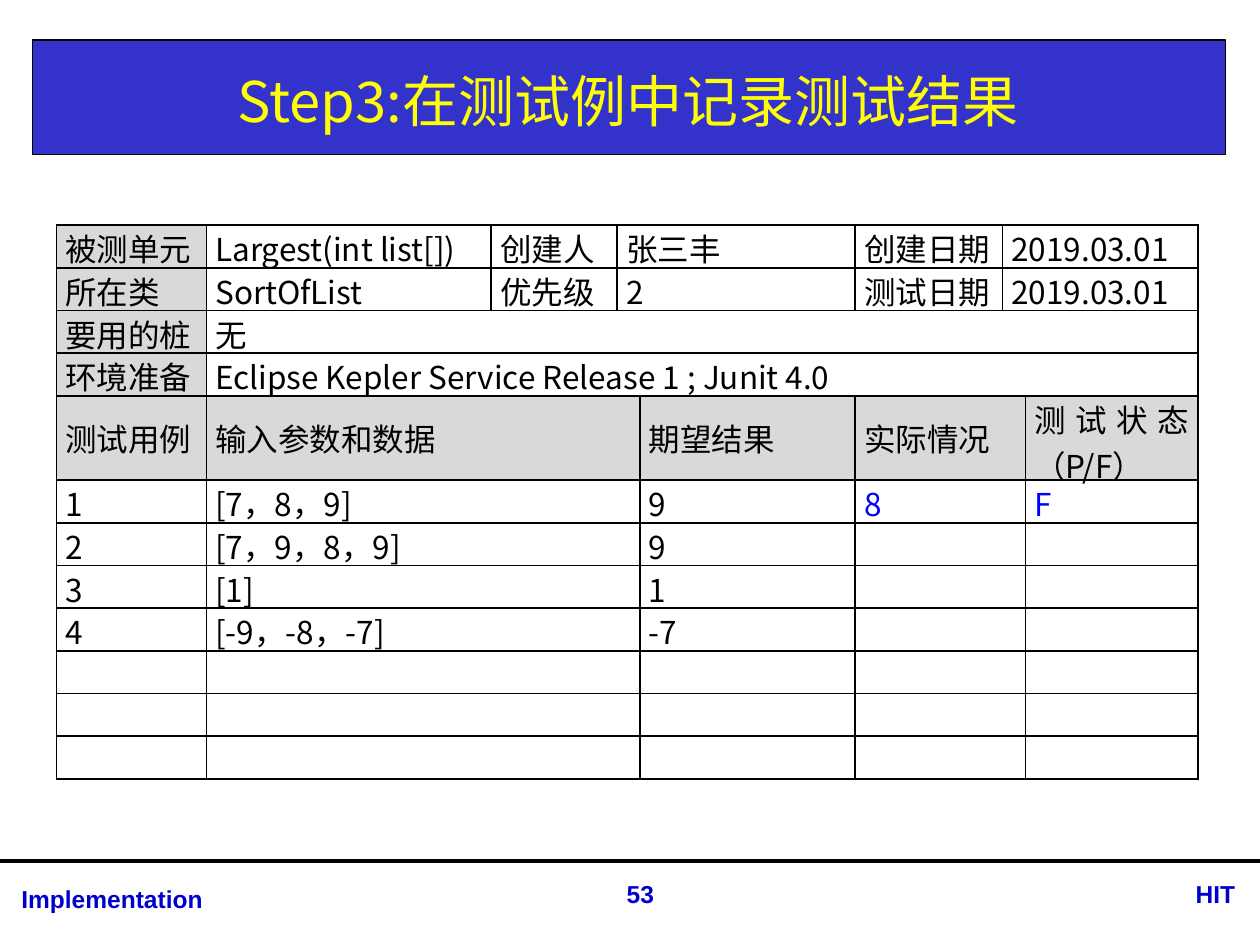
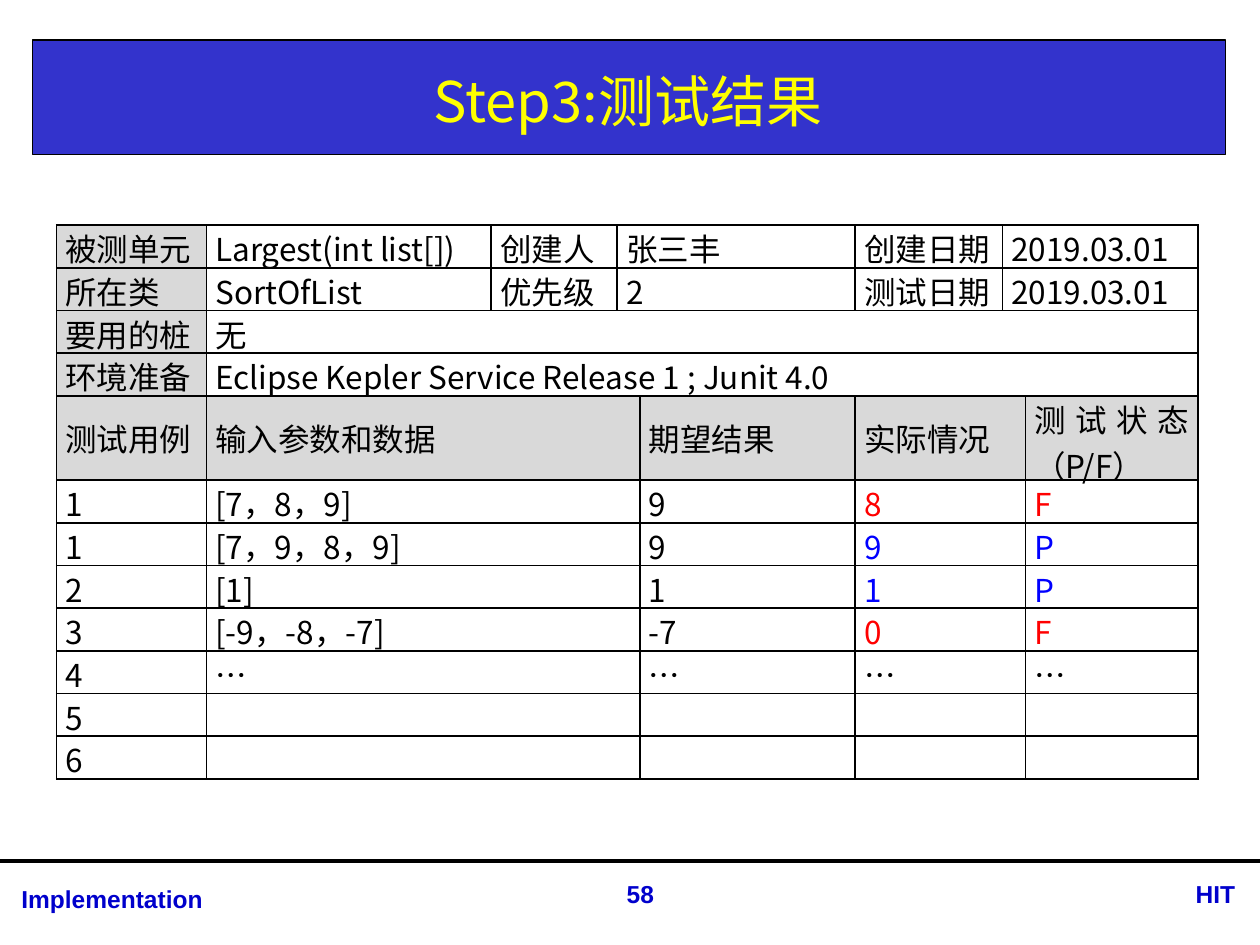
from dataclasses import dataclass
from typing import NamedTuple

from lxml.etree import SubElement
from pptx import Presentation
from pptx.dml.color import RGBColor
from pptx.enum.shapes import MSO_CONNECTOR, MSO_SHAPE
from pptx.enum.text import MSO_ANCHOR as Anchor, PP_ALIGN as Align
from pptx.oxml.ns import qn
from pptx.util import Cm, Pt

BLACK = RGBColor(0x00, 0x00, 0x00)
BAND_BLUE = RGBColor(0x33, 0x33, 0xCC)
TITLE_YELLOW = RGBColor(0xFF, 0xFF, 0x00)
FOOTER_BLUE = RGBColor(0x00, 0x00, 0xCC)
LABEL_GREY = RGBColor(0xD9, 0xD9, 0xD9)
RESULT_BLUE = RGBColor(0x00, 0x00, 0xFF)
RESULT_RED = RGBColor(0xFF, 0x00, 0x00)

BODY_FONT = "Noto Sans CJK SC"
FOOTER_FONT = "Arial"

COLUMN_WIDTHS = (3.02, 5.74, 2.54, 0.46, 4.34, 2.97, 0.46, 3.48)
ROW_HEIGHT = 0.86
HEADING_HEIGHT = 1.7
HEADING_ROW = 4
UNIT_SPANS = (1, 1, 1, 2, 1, 2)
WIDE_SPANS = (1, 7)
CASE_SPANS = (1, 3, 1, 2, 1)
RESULT_START = 3


class FooterItem(NamedTuple):
    text: str
    left: float
    top: float
    width: float
    align: Align


@dataclass(frozen=True)
class TestCase:
    number: str = ""
    inputs: str = ""
    expected: str = ""
    actual: str = ""
    status: str = ""
    result_color: RGBColor = BLACK


@dataclass(frozen=True)
class ResultSlide:
    title: str
    page: str
    cases: tuple[TestCase, ...]


@dataclass(frozen=True)
class TableRow:
    texts: tuple[str, ...]
    spans: tuple[int, ...]
    shaded: int = 0
    result_color: RGBColor = BLACK


UNIT_ROWS = (
    TableRow(("被测单元", "Largest(int list[])", "创建人", "张三丰", "创建日期", "2019.03.01"),
             UNIT_SPANS, 1),
    TableRow(("所在类", "SortOfList", "优先级", "2", "测试日期", "2019.03.01"), UNIT_SPANS, 1),
    TableRow(("要用的桩", "无"), WIDE_SPANS, 1),
    TableRow(("环境准备", "Eclipse Kepler Service Release 1 ; Junit 4.0"), WIDE_SPANS, 1),
    TableRow(("测试用例", "输入参数和数据", "期望结果", "实际情况", "测试状态（P/F）"),
             CASE_SPANS, len(CASE_SPANS)),
)

RESULT_SLIDES = (
    ResultSlide("Step3:在测试例中记录测试结果", "53", (
        TestCase("1", "[7，8，9]", "9", "8", "F", RESULT_BLUE),
        TestCase("2", "[7，9，8，9]", "9"),
        TestCase("3", "[1]", "1"),
        TestCase("4", "[-9，-8，-7]", "-7"),
        TestCase(), TestCase(), TestCase(),
    )),
    ResultSlide("Step3:测试结果", "58", (
        TestCase("1", "[7，8，9]", "9", "8", "F", RESULT_RED),
        TestCase("1", "[7，9，8，9]", "9", "9", "P", RESULT_BLUE),
        TestCase("2", "[1]", "1", "1", "P", RESULT_BLUE),
        TestCase("3", "[-9，-8，-7]", "-7", "0", "F", RESULT_RED),
        TestCase("4", "…", "…", "…", "…"),
        TestCase("5"), TestCase("6"),
    )),
)


def add_run(paragraph, text: str, font: str, size: int, color: RGBColor,
            bold: bool = False) -> None:
    run = paragraph.add_run()
    run.text = text
    run.font.name = font
    run.font.size = Pt(size)
    run.font.bold = bold
    run.font.color.rgb = color
    SubElement(run.font._element, qn("a:ea")).set("typeface", font)


def draw_title(slide, text: str) -> None:
    band = slide.shapes.add_shape(MSO_SHAPE.RECTANGLE, Cm(0.66), Cm(0.81), Cm(24.05), Cm(2.31))
    band.shadow.inherit = False
    band.fill.solid()
    band.fill.fore_color.rgb = BAND_BLUE
    band.line.color.rgb = BLACK
    band.line.width = Pt(0.75)

    title = slide.shapes.title
    band._element.addnext(title._element)
    title.left, title.top, title.width, title.height = Cm(0.66), Cm(0.91), Cm(24), Cm(2.21)
    title.text_frame.vertical_anchor = Anchor.MIDDLE
    heading = title.text_frame.paragraphs[0]
    heading.alignment = Align.CENTER
    add_run(heading, text, BODY_FONT, 32, TITLE_YELLOW)


def draw_footer(slide, page: str) -> None:
    rule = slide.shapes.add_connector(MSO_CONNECTOR.STRAIGHT, 0, Cm(17.35), Cm(25.4), Cm(17.35))
    rule.line.color.rgb = BLACK
    rule.line.width = Pt(2.25)
    SubElement(rule._element.spPr, qn("a:effectLst"))

    for item in (
        FooterItem("Implementation", 0.18, 17.7, 9.78, Align.LEFT),
        FooterItem("HIT", 22.53, 17.6, 2.62, Align.RIGHT),
        FooterItem(page, 11.6, 17.6, 2.62, Align.CENTER),
    ):
        label = slide.shapes.add_textbox(Cm(item.left), Cm(item.top), Cm(item.width), Cm(0.86))
        label.text_frame.word_wrap = True
        paragraph = label.text_frame.paragraphs[0]
        paragraph.alignment = item.align
        add_run(paragraph, item.text, FOOTER_FONT, 14, FOOTER_BLUE, True)


def set_borders(cell) -> None:
    properties = cell._tc.get_or_add_tcPr()
    for position, side in enumerate(("a:lnL", "a:lnR", "a:lnT", "a:lnB")):
        border = properties.makeelement(qn(side), {"w": str(Pt(1))})
        fill = SubElement(border, qn("a:solidFill"))
        SubElement(fill, qn("a:srgbClr")).set("val", str(BLACK))
        properties.insert(position, border)


def fill_cell(cell, text: str, color: RGBColor, shaded: bool) -> None:
    cell.vertical_anchor = Anchor.MIDDLE
    if shaded:
        cell.fill.solid()
        cell.fill.fore_color.rgb = LABEL_GREY
    paragraph = cell.text_frame.paragraphs[0]
    paragraph.alignment = Align.JUSTIFY
    add_run(paragraph, text, BODY_FONT, 18, color)


def draw_results(slide, cases: tuple[TestCase, ...]) -> None:
    rows = UNIT_ROWS + tuple(
        TableRow((case.number, case.inputs, case.expected, case.actual, case.status),
                 CASE_SPANS, result_color=case.result_color)
        for case in cases
    )
    heights = [HEADING_HEIGHT if i == HEADING_ROW else ROW_HEIGHT for i in range(len(rows))]
    results = slide.shapes.add_table(
        len(rows), len(COLUMN_WIDTHS), Cm(1.14), Cm(4.54),
        Cm(sum(COLUMN_WIDTHS)), Cm(sum(heights))).table
    results.first_row = False
    results.horz_banding = False
    for column, width in zip(results.columns, COLUMN_WIDTHS):
        column.width = Cm(width)
    for table_row, height in zip(results.rows, heights):
        table_row.height = Cm(height)
    for cell in results.iter_cells():
        cell.margin_left = cell.margin_right = Cm(0.18)
        cell.margin_top = cell.margin_bottom = 0
        cell.fill.background()
        set_borders(cell)

    for row_index, row in enumerate(rows):
        column_index = 0
        for part, (text, span) in enumerate(zip(row.texts, row.spans)):
            cell = results.cell(row_index, column_index)
            if span > 1:
                cell.merge(results.cell(row_index, column_index + span - 1))
            color = row.result_color if part >= RESULT_START else BLACK
            fill_cell(cell, text, color, part < row.shaded)
            column_index += span


def main() -> None:
    deck = Presentation()
    deck.slide_width, deck.slide_height = Cm(25.4), Cm(19.05)
    title_only = deck.slide_layouts[5]
    for content in RESULT_SLIDES:
        slide = deck.slides.add_slide(title_only)
        draw_title(slide, content.title)
        draw_footer(slide, content.page)
        draw_results(slide, content.cases)
    deck.save("out.pptx")


if __name__ == "__main__":
    main()
